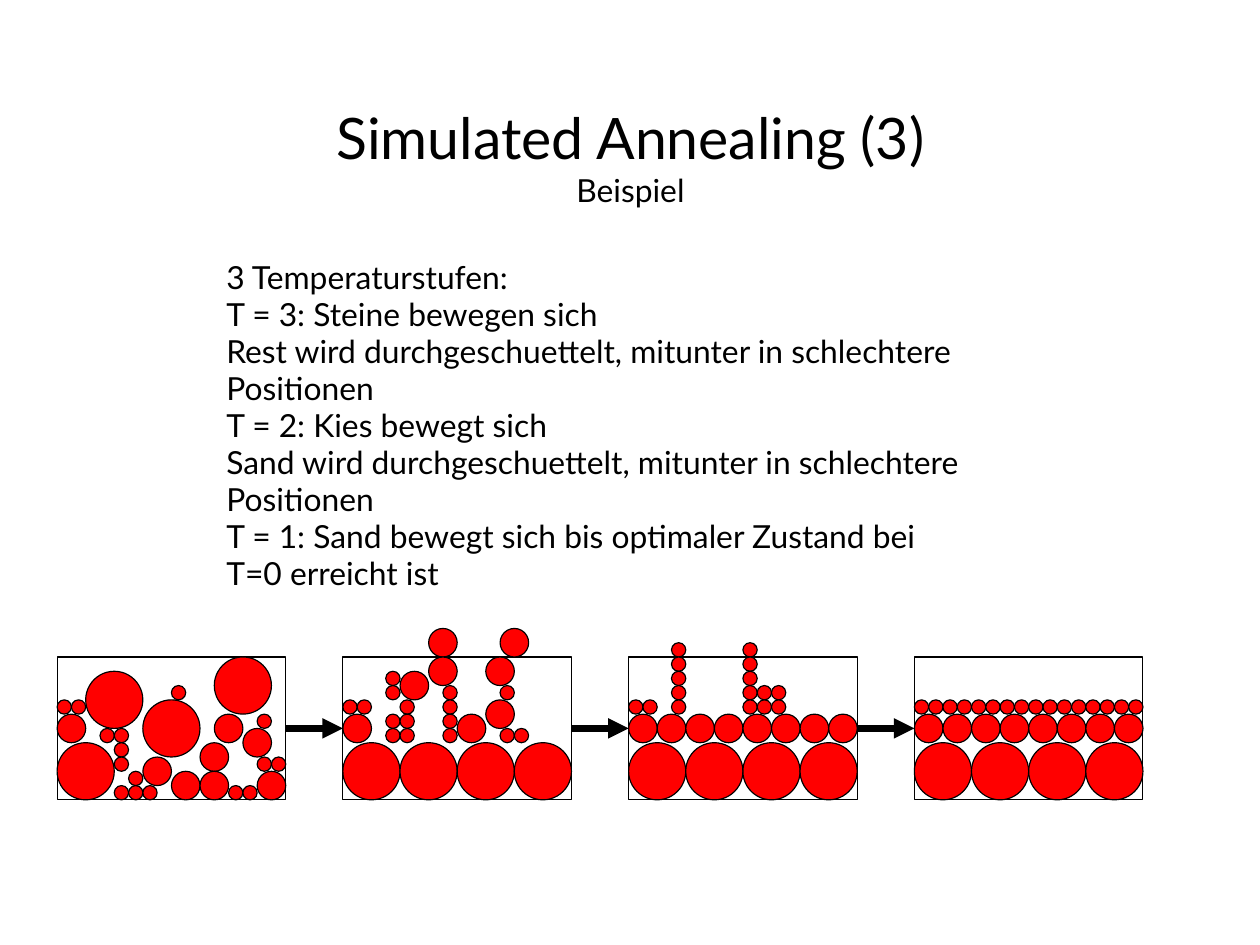
from dataclasses import dataclass
from itertools import pairwise, product

from lxml import etree
from pptx import Presentation
from pptx.dml.color import RGBColor
from pptx.enum import shapes, text
from pptx.oxml import ns
from pptx.shapes.autoshape import Shape
from pptx.slide import Slide
from pptx.text.text import _Paragraph as Para
from pptx.util import Cm, Pt

FONT = "Lato"
BLACK, RED = "000000", "FF0000"
STEP = Cm(1.27) / 4  # diameter of a grain of sand
WIDE, HIGH = 16, 10  # box size in steps
LEFT, TOP, PITCH = Cm(1.27), Cm(14.6), Cm(6.35)
STONE, GRAVEL, SAND = 4, 2, 1  # diameters in steps

Spots = list[tuple[int, int]]


@dataclass
class Stage:
    """Columns and rows of the grains in one box, in steps."""
    stones: Spots
    gravel: Spots
    sand: Spots


def row(size: int, top: int) -> Spots:
    """Full row of grains across a box."""
    return [(col, top) for col in range(0, WIDE, size)]


STONES, GRAVELS, SANDS = row(STONE, 6), row(GRAVEL, 4), row(SAND, 3)

STAGES = [
    Stage(
        [(0, 6), (6, 3), (11, 0), (2, 1)],
        [(0, 4), (14, 8), (8, 8), (6, 7), (10, 6), (10, 8), (13, 5), (11, 4)],
        [(0, 3), (1, 3), (8, 2), (14, 4), (3, 5), (4, 5), (4, 6), (4, 7),
         (5, 8), (4, 9), (5, 9), (6, 9), (12, 9), (13, 9), (14, 7), (15, 7)],
    ),
    Stage(
        STONES,
        [(0, 4), (11, -2), (8, 4), (4, 1), (6, -2), (6, 0), (10, 3), (10, 0)],
        [(0, 3), (1, 3), (3, 1), (3, 2), (3, 4), (3, 5), (4, 3), (4, 4),
         (4, 5), (7, 2), (7, 3), (7, 4), (7, 5), (11, 2), (11, 5), (12, 5)],
    ),
    Stage(
        STONES,
        GRAVELS,
        [(0, 3), (1, 3), *product((3, 8), range(-1, 4)),
         *product((9, 10), (2, 3))],
    ),
    Stage(STONES, GRAVELS, SANDS),
]

LINES = [
    "3 Temperaturstufen:",
    "T = 3: Steine bewegen sich",
    "Rest wird durchgeschuettelt, mitunter in schlechtere",
    "Positionen",
    "T = 2: Kies bewegt sich",
    "Sand wird durchgeschuettelt, mitunter in schlechtere",
    "Positionen",
    "T = 1: Sand bewegt sich bis optimaler Zustand bei",
    "T=0 erreicht ist",
]


def color(code: str) -> RGBColor:
    return RGBColor.from_string(code)


def add_run(para: Para, words: str, size: int) -> None:
    run = para.add_run()
    run.text = words
    run.font.name = FONT
    run.font.size = Pt(size)
    run.font.color.rgb = color(BLACK)


def set_frame(shape: Shape, left: float, top: float, width: float,
              height: float) -> text.MSO_ANCHOR:
    """Place a text shape and clear its margins."""
    shape.left, shape.top = Cm(left), Cm(top)
    shape.width, shape.height = Cm(width), Cm(height)
    frame = shape.text_frame
    frame.margin_left = frame.margin_right = 0
    frame.margin_top = frame.margin_bottom = 0
    frame.word_wrap = True
    frame.auto_size = text.MSO_AUTO_SIZE.NONE


def add_title(slide: Slide) -> None:
    title = slide.shapes.title
    set_frame(title, 2.06, 1.68, 23.9, 3.66)
    title.text_frame.vertical_anchor = text.MSO_ANCHOR.MIDDLE
    para = title.text_frame.paragraphs[0]
    para.alignment = text.PP_ALIGN.CENTER
    para.line_spacing = 0.97
    add_run(para, "Simulated Annealing (3)", 36)
    para.add_line_break()
    add_run(para, "Beispiel", 20)


def add_body(slide: Slide) -> None:
    body = slide.shapes.add_textbox(0, 0, 0, 0)
    set_frame(body, 5.03, 5.77, 18.92, 8.23)
    frame = body.text_frame
    for num, line in enumerate(LINES):
        para = frame.add_paragraph() if num else frame.paragraphs[0]
        para.line_spacing = 0.97
        add_run(para, line, 20)


def add_form(slide: Slide, kind: shapes.MSO_SHAPE, left: float, top: float,
             width: float, height: float, fill: str | None = None) -> Shape:
    """Add a thinly outlined shape, given in EMU."""
    form = slide.shapes.add_shape(
        kind, *(round(v) for v in (left, top, width, height)))
    form.shadow.inherit = False
    if fill:
        form.fill.solid()
        form.fill.fore_color.rgb = color(fill)
    else:
        form.fill.background()
    form.line.color.rgb = color(BLACK)
    form.line.width = Pt(0.75)
    return form


def add_stage(slide: Slide, stage: Stage, left: int) -> Shape:
    """Draw a box with its grains and return the box."""
    box = add_form(slide, shapes.MSO_SHAPE.RECTANGLE, left, TOP,
                   WIDE * STEP, HIGH * STEP)
    for size, spots in ((STONE, stage.stones), (GRAVEL, stage.gravel),
                        (SAND, stage.sand)):
        for col, line in spots:
            add_form(slide, shapes.MSO_SHAPE.OVAL, left + col * STEP,
                     TOP + line * STEP, size * STEP, size * STEP, RED)
    return box


def add_arrow(slide: Slide, start: Shape, end: Shape) -> None:
    arrow = slide.shapes.add_connector(shapes.MSO_CONNECTOR.STRAIGHT,
                                       0, 0, 0, 0)
    arrow.begin_connect(start, 3)
    arrow.end_connect(end, 1)
    arrow.line.color.rgb = color(BLACK)
    arrow.line.width = Pt(4.31)
    etree.SubElement(arrow.line._get_or_add_ln(), ns.qn("a:tailEnd"),
                     type="triangle")
    etree.SubElement(arrow._element.spPr, ns.qn("a:effectLst"))


def main() -> None:
    deck = Presentation()
    deck.slide_width, deck.slide_height = Cm(28), Cm(21)
    slide = deck.slides.add_slide(deck.slide_layouts[5])
    add_title(slide)
    add_body(slide)
    boxes = [add_stage(slide, stage, LEFT + num * PITCH)
             for num, stage in enumerate(STAGES)]
    for start, end in pairwise(boxes):
        add_arrow(slide, start, end)
    deck.save("out.pptx")


if __name__ == "__main__":
    main()
